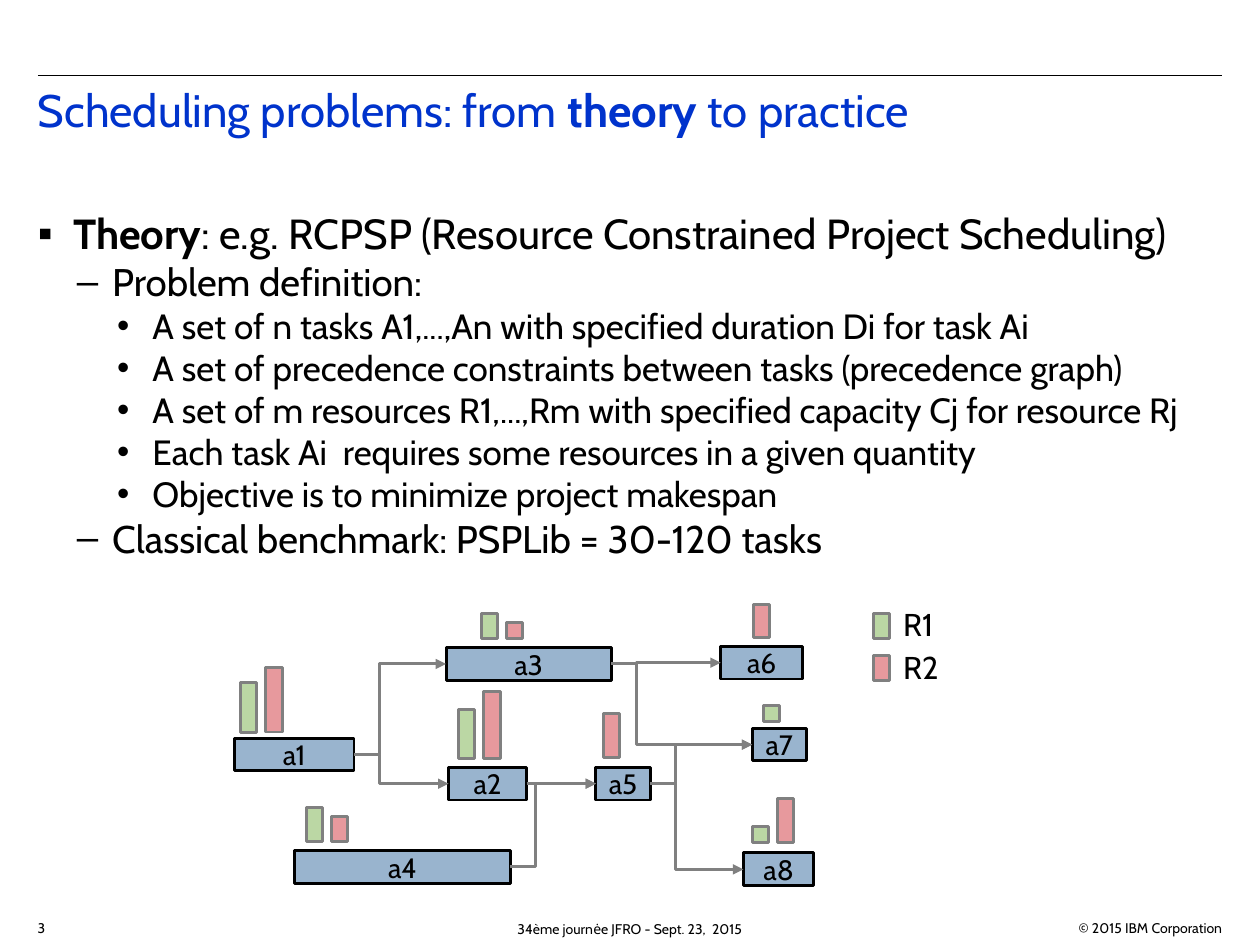
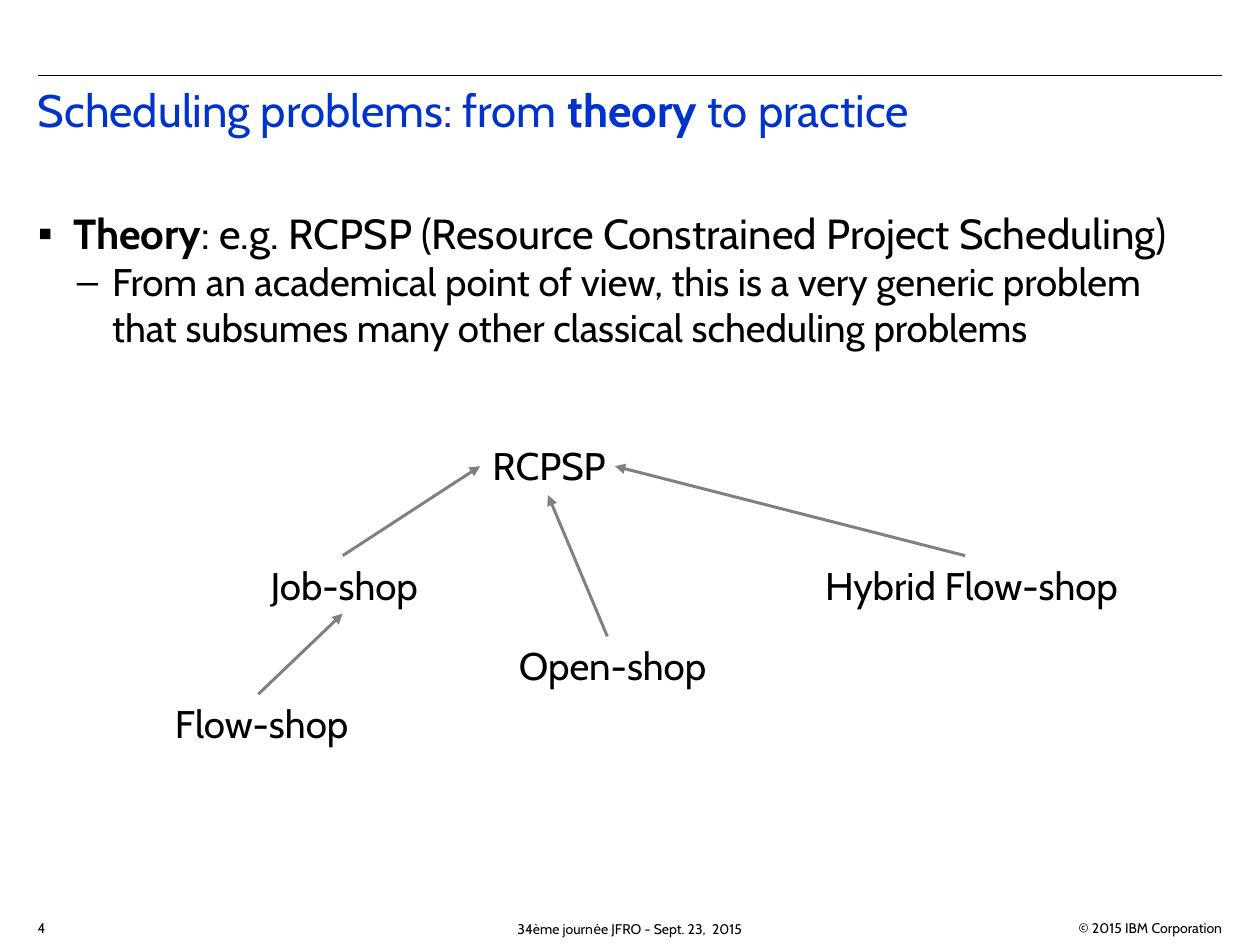
import pptx
import pptx.util
import pptx.dml.color
import pptx.enum.shapes
import pptx.enum.text
import pptx.oxml.ns
from lxml import etree

Inches = pptx.util.Inches
Pt = pptx.util.Pt
ALIGN = pptx.enum.text.PP_ALIGN
ANCHOR = pptx.enum.text.MSO_ANCHOR
CONNECTOR = pptx.enum.shapes.MSO_CONNECTOR

TITLE = "Scheduling problems: from **theory** to practice"
THEORY = "**Theory**: e.g. RCPSP (Resource Constrained Project Scheduling)"
LEVELS = [("▪", 0.28, 24), ("–", 0.59, 22), ("•", 0.91, 20)]

RESOURCES = ["R1", "R2"]
TASK_HEIGHT, BAR_WIDTH, BAR_STEP, TURN = 0.26, 0.13, 0.2, 0.2
# name: left, top, width, first bar left, bar base, heights for R1 and R2
TASKS = {
    "a1": (1.86, 5.86, 0.95, 1.91, 5.81, (0.39, 0.51)),
    "a2": (3.56, 6.09, 0.62, 3.64, 6.02, (0.39, 0.53)),
    "a3": (3.54, 5.14, 1.31, 3.82, 5.07, (0.2, 0.13)),
    "a4": (2.34, 6.75, 1.71, 2.43, 6.68, (0.27, 0.2)),
    "a5": (4.73, 6.09, 0.43, 4.59, 6.01, (0, 0.35)),
    "a6": (5.72, 5.13, 0.65, 5.78, 5.06, (0, 0.26)),
    "a7": (5.97, 5.78, 0.43, 6.06, 5.73, (0.13, 0)),
    "a8": (5.9, 6.77, 0.56, 5.97, 6.69, (0.13, 0.35)),
}
PRECEDENCES = [("a1", "a3"), ("a1", "a2"), ("a3", "a6"), ("a4", "a2"), ("a2", "a5"),
               ("a5", "a8"), ("a5", "a7"), ("a3", "a7")]
PRECEDENCES[3] = ("a4", "a5")

PROBLEMS = [("RCPSP", 3.81, 3.46, 1.12), ("Job-shop", 2.05, 4.41, 1.46),
            ("Flow-shop", 1.29, 5.51, 1.66), ("Open-shop", 4.02, 5.05, 1.79),
            ("Hybrid Flow-shop", 6.45, 4.41, 2.7)]
SUBSUMPTIONS = [((4.82, 5.05), (4.35, 3.93)), ((2.72, 4.41), (3.81, 3.7)),
                ((2.05, 5.51), (2.72, 4.87)), ((7.66, 4.41), (4.88, 3.7))]


def rgb(value):
    return pptx.dml.color.RGBColor.from_string(value)


def add_xml(parent, tag, **attributes):
    return etree.SubElement(parent, pptx.oxml.ns.qn(tag), attributes)


def write(paragraph, text, size, color="000000", font="Cabin", align=ALIGN.LEFT, spacing=1.0):
    paragraph.alignment = align
    paragraph.line_spacing = spacing
    paragraph.space_before = Pt(0)
    for position, part in enumerate(text.split("**")):
        if part:
            run = paragraph.add_run()
            run.text = part
            run.font.name = font
            run.font.size = Pt(size)
            run.font.bold = position % 2 == 1
            run.font.color.rgb = rgb(color)


class Deck:
    black, title_blue, arrow_gray = "000000", "0033CC", "808080"
    task_blue = "004586"
    resource_colors = ["579D1C", "C5000B"]
    line_width = 1.7

    def __init__(self):
        self.presentation = pptx.Presentation()
        self.presentation.slide_width = Inches(10)
        self.presentation.slide_height = Inches(7.5)
        self.slide = None

    def new_slide(self, number, bullets):
        self.slide = self.presentation.slides.add_slide(self.presentation.slide_layouts[1])
        self.line((0.3, 0.6), (9.7, 0.6), color=self.black, width=0.75, arrow=False)
        self.text("© 2015 IBM Corporation", 8.1, 7.25, 1.7, 0.2, size=8, align=ALIGN.RIGHT)
        self.text("34ème journėe JFRO - Sept. 23,  2015", 3.3, 7.22, 3.4, 0.3,
                  anchor=ANCHOR.MIDDLE, size=8, align=ALIGN.CENTER)
        self.text(str(number), 0.2, 7.25, 0.4, 0.23, size=8)
        title = self.placeholder(self.slide.shapes.title, 0.65, 0.7)
        write(title.paragraphs[0], TITLE, size=26, color=self.title_blue, spacing=0.9)
        self.bullets(bullets)

    def placeholder(self, holder, top, height):
        holder.left, holder.top = Inches(0.2), Inches(top)
        holder.width, holder.height = Inches(9.5), Inches(height)
        frame = holder.text_frame
        frame.auto_size = pptx.enum.text.MSO_AUTO_SIZE.NONE
        frame.vertical_anchor = ANCHOR.TOP
        return frame

    def bullets(self, items):
        frame = self.placeholder(self.slide.placeholders[1], 1.6, 3.97 if len(items) > 2 else 2)
        for index, (level, text) in enumerate(items):
            paragraph = frame.add_paragraph() if index else frame.paragraphs[0]
            mark, indent, size = LEVELS[level]
            paragraph.level = level
            properties = paragraph._p.get_or_add_pPr()
            properties.set("marL", str(Inches(indent)))
            properties.set("indent", str(Inches(-0.28)))
            add_xml(add_xml(properties, "a:buClr"), "a:srgbClr", val=self.black)
            add_xml(properties, "a:buChar", char=mark)
            write(paragraph, text, size=size)

    def text(self, text, left, top, width, height, wrap=True, anchor=ANCHOR.TOP, **style):
        box = self.slide.shapes.add_textbox(Inches(left), Inches(top), Inches(width), Inches(height))
        box.text_frame.word_wrap = wrap
        box.text_frame.vertical_anchor = anchor
        write(box.text_frame.paragraphs[0], text, **style)

    def block(self, left, top, width, height, fill, outline, label=""):
        block = self.slide.shapes.add_shape(
            pptx.enum.shapes.MSO_SHAPE.RECTANGLE,
            Inches(left), Inches(top), Inches(width), Inches(height))
        block.shadow.inherit = False
        block.fill.solid()
        block.fill.fore_color.rgb = rgb(fill)
        color = block.element.spPr.find(".//" + pptx.oxml.ns.qn("a:srgbClr"))
        add_xml(color, "a:alpha", val="40000")
        block.line.color.rgb = rgb(outline)
        block.line.width = Pt(self.line_width)
        if label:
            block.text_frame.word_wrap = False
            block.text_frame.vertical_anchor = ANCHOR.MIDDLE
            write(block.text_frame.paragraphs[0], label, size=16, align=ALIGN.CENTER)
        return block

    def resource_bar(self, resource, left, top, height):
        self.block(left, top, BAR_WIDTH, height, self.resource_colors[resource], self.arrow_gray)

    def line(self, start, end, color=arrow_gray, width=line_width, arrow=True,
             kind=CONNECTOR.STRAIGHT):
        line = self.slide.shapes.add_connector(kind, *map(Inches, start + end))
        line.line.color.rgb = rgb(color)
        line.line.width = Pt(width)
        properties = line.element.spPr
        if arrow:
            add_xml(properties.find(pptx.oxml.ns.qn("a:ln")), "a:tailEnd", type="triangle")
        add_xml(properties, "a:effectLst")
        return line

    def precedence(self, before, after):
        start = (before.left + before.width, before.top + before.height // 2)
        end = (after.left, after.top + after.height // 2)
        link = self.line(tuple(v / Inches(1) for v in start), tuple(v / Inches(1) for v in end),
                         kind=CONNECTOR.ELBOW)
        link.begin_connect(before, 3)
        link.end_connect(after, 1)
        turn = round(100000 * Inches(TURN) / link.width)
        guides = link.element.spPr.find(".//" + pptx.oxml.ns.qn("a:avLst"))
        add_xml(guides, "a:gd", name="adj1", fmla=f"val {turn}")


def precedence_slide(deck):
    deck.new_slide(3, [
        (0, THEORY),
        (1, "Problem definition:"),
        (2, "A set of n tasks A1,...,An with specified duration Di for task Ai"),
        (2, "A set of precedence constraints between tasks (precedence graph)"),
        (2, "A set of m resources R1,...,Rm with specified capacity Cj for resource Rj"),
        (2, "Each task Ai  requires some resources in a given quantity"),
        (2, "Objective is to minimize project makespan"),
        (1, "Classical benchmark: PSPLib = 30-120 tasks"),
    ])
    tasks = {}
    for name, (left, top, width, bar_left, base, demands) in TASKS.items():
        tasks[name] = deck.block(left, top, width, TASK_HEIGHT, deck.task_blue, deck.black, name)
        for resource, demand in enumerate(demands):
            if demand:
                deck.resource_bar(resource, bar_left + resource * BAR_STEP, base - demand, demand)
    for before, after in PRECEDENCES:
        deck.precedence(tasks[before], tasks[after])
    for resource, name in enumerate(RESOURCES):
        deck.resource_bar(resource, 6.93, 4.87 + 0.33 * resource, 0.2)
        deck.text(name, 7.07, 4.75 + 0.34 * resource, 0.5, 0.4, wrap=False, size=18)


def hierarchy_slide(deck):
    deck.new_slide(4, [
        (0, THEORY),
        (1, "From an academical point of view, this is a very generic problem "
            "that subsumes many other classical scheduling problems"),
    ])
    for name, left, top, width in PROBLEMS:
        deck.text(name, left, top, width, 0.47, wrap=False, size=22)
    for special, general in SUBSUMPTIONS:
        deck.line(special, general)


def main():
    deck = Deck()
    precedence_slide(deck)
    hierarchy_slide(deck)
    deck.presentation.save("out.pptx")


if __name__ == "__main__":
    main()
